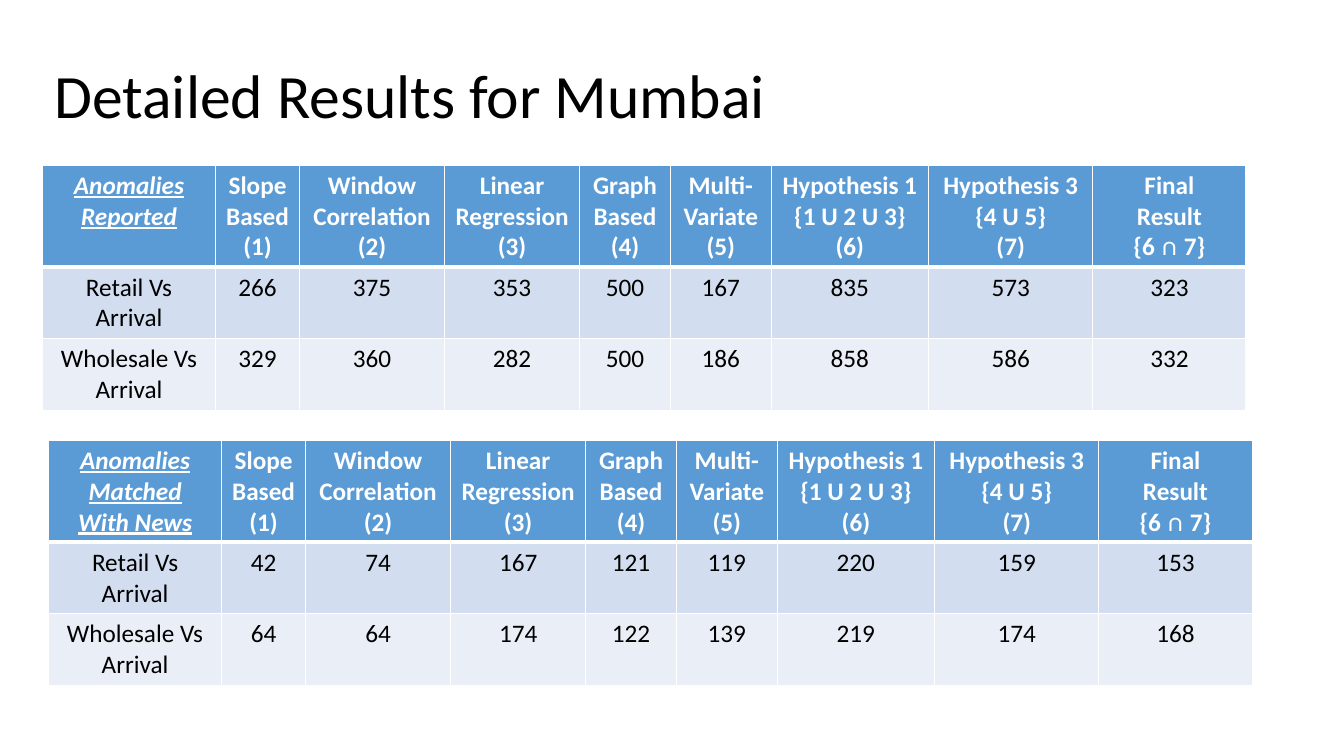
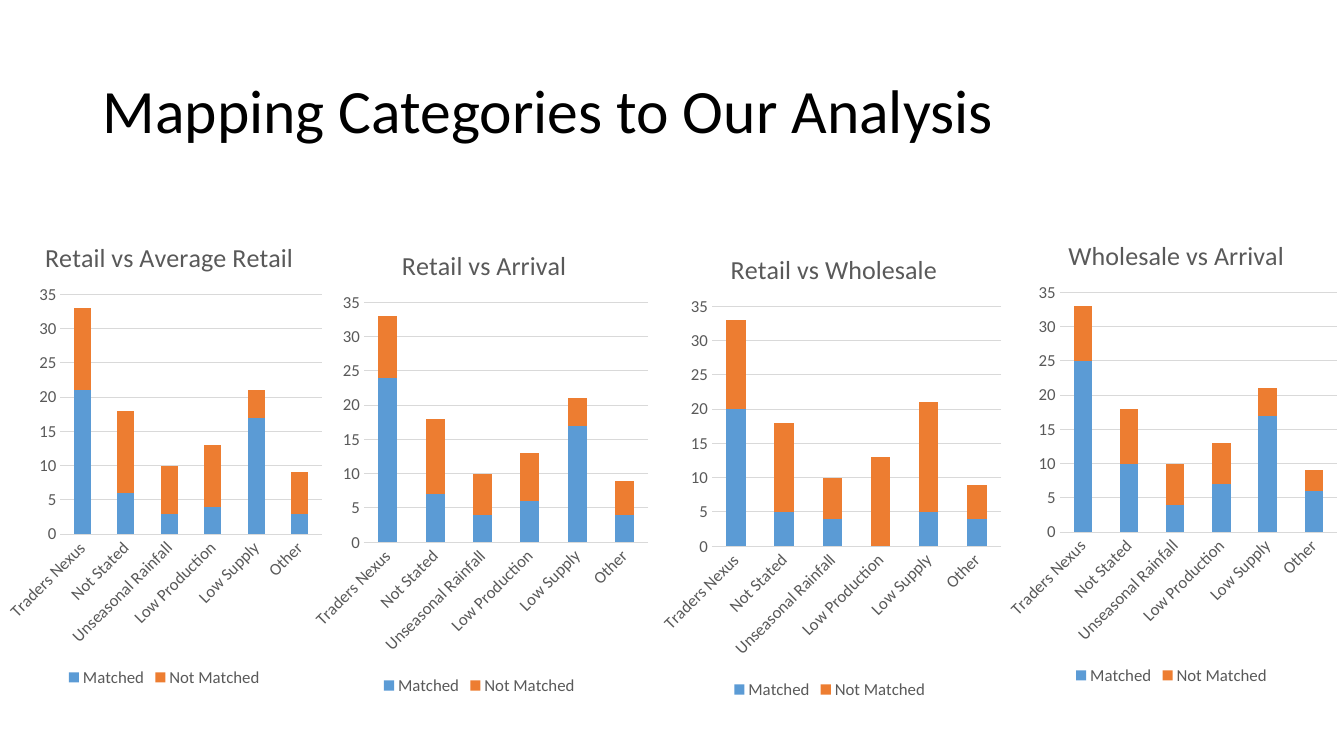
from lxml import etree
from pptx import Presentation
from pptx.chart import data as chart_data
from pptx.dml import color
from pptx.enum import chart as chart_enum
from pptx.enum import text
from pptx.oxml import ns
from pptx.util import Inches, Pt

FONT = "Calibri"
BLACK, WHITE, GREY, GRID = "000000", "FFFFFF", "595959", "D9D9D9"
BLUE, ORANGE = "5B9BD5", "ED7D31"
ROW_FILLS = [BLUE, "D2DEEF", "EAEFF7"]

RESULTS_TITLE = ("Detailed Results for Mumbai", 0.44, 0.25)
MAPPING_TITLE = ("Mapping Categories to Our Analysis", 0.92, 0.4)
TITLE_SIZE = (11.5, 1.45)

METHODS = [
    "Slope\nBased\n(1)", "Window\nCorrelation\n(2)", "Linear\nRegression\n(3)",
    "Graph\nBased\n(4)", "Multi-\nVariate\n(5)",
    "Hypothesis 1\n{1 U 2 U 3}\n(6)", "Hypothesis 3\n{4 U 5}\n(7)",
    "Final\nResult\n{6 ∩ 7}",
]
COMPARISONS = ["Retail Vs\nArrival", "Wholesale Vs\nArrival"]
COLUMN_WIDTHS = [1.72, 0.83, 1.44, 1.34, 0.9, 1, 1.56, 1.63, 1.52]
ROW_HEIGHTS = [1.01, 0.71, 0.71]
ROW_BORDERS = [(1, 3), (3, 1), (1, 1)]
ANOMALY_TABLES = [
    ("Anomalies\nReported", 0.42, 1.64, [
        [266, 375, 353, 500, 167, 835, 573, 323],
        [329, 360, 282, 500, 186, 858, 586, 332]]),
    ("Anomalies\nMatched\nWith News", 0.48, 4.37, [
        [42, 74, 167, 121, 119, 220, 159, 153],
        [64, 64, 174, 122, 139, 219, 174, 168]]),
]

CATEGORIES = ["Traders Nexus", "Not Stated", "Unseasonal Rainfall",
              "Low Production", "Low Supply", "Other"]
SERIES = [("Matched", BLUE), ("Not Matched", ORANGE)]
CHART_HEIGHT = 4.76
HEADING_TOP = 0.23
PLOT_LEFT, PLOT_TOP, PLOT_HEIGHT, PLOT_RIGHT_GAP = 0.6, 0.82, 2.38, 0.07
CATEGORY_CHARTS = [
    dict(heading="Retail vs Average Retail", heading_left=0.4,
         left=0, top=2.1, width=3.26,
         values=[[21, 6, 3, 4, 17, 3], [12, 12, 7, 9, 4, 6]]),
    dict(heading="Retail vs Arrival", heading_left=0.93,
         left=3.01, top=2.18, width=3.49,
         values=[[24, 7, 4, 6, 17, 4], [9, 11, 6, 7, 4, 5]]),
    dict(heading="Retail vs Wholesale", heading_left=0.74,
         left=6.46, top=2.22, width=3.54,
         values=[[20, 5, 4, 0, 5, 4], [13, 13, 6, 13, 16, 5]]),
    dict(heading="Wholesale vs Arrival", heading_left=0.64,
         left=9.91, top=2.08, width=3.42,
         values=[[25, 10, 4, 7, 17, 6], [8, 8, 6, 6, 4, 3]]),
]


def rgb(value):
    return color.RGBColor.from_string(value)


def style_font(font, size, ink, bold=False, italic=False, underline=False):
    font.name, font.size = FONT, Pt(size)
    font.color.rgb = rgb(ink)
    font.bold, font.italic, font.underline = bold, italic, underline


def write_text(frame, content, align=None, spacing=None, **style):
    frame.text = content
    for paragraph in frame.paragraphs:
        if align is not None:
            paragraph.alignment = align
        if spacing is not None:
            paragraph.line_spacing = spacing
        for run in paragraph.runs:
            style_font(run.font, **style)


def add_title(slide, content, left, top):
    box = slide.shapes.add_textbox(*map(Inches, (left, top, *TITLE_SIZE)))
    box.text_frame.word_wrap = True
    box.text_frame.vertical_anchor = text.MSO_ANCHOR.MIDDLE
    write_text(box.text_frame, content, spacing=0.9, size=44, ink=BLACK)


def add_borders(cell, top, bottom):
    properties = cell._tc.get_or_add_tcPr()
    widths = {"lnL": 1, "lnR": 1, "lnT": top, "lnB": bottom}
    for index, (side, width) in enumerate(widths.items()):
        line = etree.Element(ns.qn("a:" + side), w=str(Pt(width)))
        fill = etree.SubElement(line, ns.qn("a:solidFill"))
        etree.SubElement(fill, ns.qn("a:srgbClr"), val=WHITE)
        properties.insert(index, line)


def add_anomaly_table(slide, corner, left, top, counts):
    rows = [[corner, *METHODS]]
    rows += [[name, *values] for name, values in zip(COMPARISONS, counts)]
    frame = slide.shapes.add_table(
        len(rows), len(COLUMN_WIDTHS), Inches(left), Inches(top),
        Inches(sum(COLUMN_WIDTHS)), Inches(sum(ROW_HEIGHTS)))
    table = frame.table
    for column, width in zip(table.columns, COLUMN_WIDTHS):
        column.width = Inches(width)
    for r, row in enumerate(rows):
        table.rows[r].height = Inches(ROW_HEIGHTS[r])
        header = r == 0
        for c, content in enumerate(row):
            cell = table.cell(r, c)
            cell.margin_left = cell.margin_right = Inches(0.08)
            cell.fill.solid()
            cell.fill.fore_color.rgb = rgb(ROW_FILLS[r])
            add_borders(cell, *ROW_BORDERS[r])
            is_corner = header and c == 0
            write_text(cell.text_frame, str(content), align=text.PP_ALIGN.CENTER,
                       size=18, ink=WHITE if header else BLACK, bold=header,
                       italic=is_corner, underline=is_corner)


def set_layout(parent, index, inner=False, **fractions):
    layout = parent.find(ns.qn("c:layout"))
    if layout is not None:
        parent.remove(layout)
    layout = etree.Element(ns.qn("c:layout"))
    parent.insert(index, layout)
    manual = etree.SubElement(layout, ns.qn("c:manualLayout"))
    settings = {"layoutTarget": "inner"} if inner else {}
    settings.update(xMode="edge", yMode="edge", **fractions)
    for tag, value in settings.items():
        etree.SubElement(manual, ns.qn("c:" + tag), val=str(value))


def style_axes(chart):
    for axis in (chart.category_axis, chart.value_axis):
        axis.major_tick_mark = axis.minor_tick_mark = chart_enum.XL_TICK_MARK.NONE
        style_font(axis.tick_labels.font, 12, GREY)
    categories, counts = chart.category_axis, chart.value_axis
    categories._element.txPr.bodyPr.set("rot", "-2700000")
    counts.minimum_scale, counts.maximum_scale, counts.major_unit = 0, 35, 5
    counts.format.line.fill.background()
    for line in (categories.format.line, counts.major_gridlines.format.line):
        line.color.rgb = rgb(GRID)
        line.width = Pt(0.75)


def add_category_chart(slide, heading, heading_left, left, top, width, values):
    source = chart_data.CategoryChartData()
    source.categories = CATEGORIES
    for (name, _), counts in zip(SERIES, values):
        source.add_series(name, counts)
    chart = slide.shapes.add_chart(
        chart_enum.XL_CHART_TYPE.COLUMN_STACKED,
        *map(Inches, (left, top, width, CHART_HEIGHT)), source).chart
    style_font(chart.font, 10, BLACK)
    chart.has_title = True
    write_text(chart.chart_title.text_frame, heading, size=18.6, ink=GREY)
    set_layout(chart.chart_title._element, 1,
               x=heading_left / width, y=HEADING_TOP / CHART_HEIGHT)
    set_layout(chart._chartSpace.chart.plotArea, 0, inner=True,
               x=PLOT_LEFT / width, y=PLOT_TOP / CHART_HEIGHT,
               w=(width - PLOT_LEFT - PLOT_RIGHT_GAP) / width,
               h=PLOT_HEIGHT / CHART_HEIGHT)
    style_axes(chart)
    chart.has_legend = True
    chart.legend.position = chart_enum.XL_LEGEND_POSITION.BOTTOM
    chart.legend.include_in_layout = False
    style_font(chart.legend.font, 12, GREY)
    plot = chart.plots[0]
    plot.gap_width, plot.overlap, plot.vary_by_categories = 150, 100, False
    for series, (_, fill) in zip(plot.series, SERIES):
        series.format.fill.solid()
        series.format.fill.fore_color.rgb = rgb(fill)


def main():
    deck = Presentation()
    deck.slide_width, deck.slide_height = Inches(13.33), Inches(7.5)
    blank = deck.slide_layouts[6]

    results = deck.slides.add_slide(blank)
    add_title(results, *RESULTS_TITLE)
    for table in ANOMALY_TABLES:
        add_anomaly_table(results, *table)

    mapping = deck.slides.add_slide(blank)
    add_title(mapping, *MAPPING_TITLE)
    for chart in CATEGORY_CHARTS:
        add_category_chart(mapping, **chart)

    deck.save("out.pptx")


if __name__ == "__main__":
    main()
